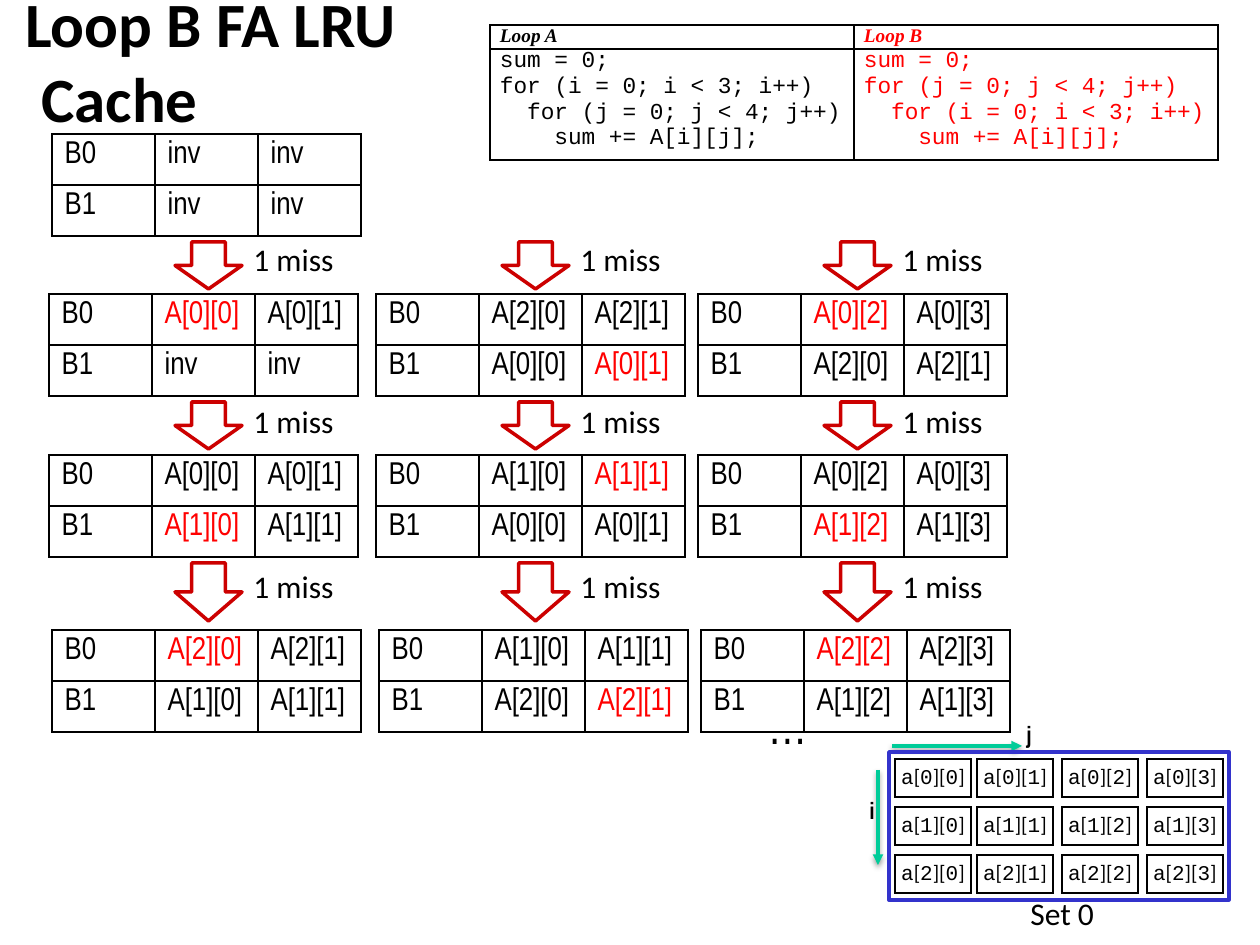
from lxml.etree import SubElement as Sub
from pptx import Presentation
from pptx.dml.color import RGBColor as RGB
from pptx.enum.shapes import MSO_CONNECTOR as Conn, MSO_SHAPE as Kind
from pptx.enum.text import MSO_ANCHOR as Anchor, PP_ALIGN as Align
from pptx.oxml.ns import qn
from pptx.util import Emu, Pt

BLACK, RED = "000000", "FF0000"
PLAIN_GRID = "{2D5ABB26-0587-4C30-8999-92F81FD0307C}"
LEFTS = [49, 376, 698]
# Top of each arrow, arrow height, label top, table top, table shift to the right
STEPS = [(242, 47, 234, 294, 0), (402, 47, 396, 455, 0), (563, 58, 561, 630, 3)]
# Cache contents after each miss; a star marks the entry just accessed
STATES = [
    ["*A[0][0] A[0][1] inv inv",
     "A[2][0] A[2][1] A[0][0] *A[0][1]",
     "*A[0][2] A[0][3] A[2][0] A[2][1]"],
    ["A[0][0] A[0][1] *A[1][0] A[1][1]",
     "A[1][0] *A[1][1] A[0][0] A[0][1]",
     "A[0][2] A[0][3] *A[1][2] A[1][3]"],
    ["*A[2][0] A[2][1] A[1][0] A[1][1]",
     "A[1][0] A[1][1] A[2][0] *A[2][1]",
     "*A[2][2] A[2][3] A[1][2] A[1][3]"],
]
LOOPS = [
    ("Loop A", BLACK, "sum = 0;\nfor (i = 0; i < 3; i++)\n"
     "  for (j = 0; j < 4; j++)\n    sum += A[i][j];"),
    ("Loop B", RED, "sum = 0;\nfor (j = 0; j < 4; j++)\n"
     "  for (i = 0; i < 3; i++)\n    sum += A[i][j];"),
]


def px(n):
    return Emu(round(n * 914400 / 126))


def paint(hue):
    return RGB.from_string(hue)


def style(run, size, face, hue=BLACK, bold=False, italic=False):
    font = run.font
    font.size, font.name = Pt(size), face
    font.bold, font.italic = bold, italic
    font.color.rgb = paint(hue)


def fill_text(frame, text, *look, align=None):
    frame.text = text
    for para in frame.paragraphs:
        para.alignment = align
        for run in para.runs:
            style(run, *look)


def label(slide, box, text, *look, wrap=False, margin=0, indent=0):
    frame = slide.shapes.add_textbox(*map(px, box)).text_frame
    frame.word_wrap = wrap
    fill_text(frame, text, *look)
    if margin:
        props = frame.paragraphs[0]._p.get_or_add_pPr()
        props.set("marL", str(px(margin)))
        props.set("indent", str(px(indent)))
    return frame


def outline(slide, kind, box, hue):
    shape = slide.shapes.add_shape(kind, *map(px, box))
    shape.shadow.inherit = False
    shape.fill.background()
    shape.line.color.rgb = paint(hue)
    shape.line.width = Pt(2)


def table(slide, left, top, cols, rows):
    box = map(px, (left, top, sum(cols), sum(rows)))
    grid = slide.shapes.add_table(len(rows), len(cols), *box).table
    grid._tbl.tblPr.find(qn("a:tableStyleId")).text = PLAIN_GRID
    grid.first_row = grid.horz_banding = False
    for col, wide in zip(grid.columns, cols):
        col.width = px(wide)
    for row, high in zip(grid.rows, rows):
        row.height = px(high)
    return grid


def edge(cell, sides="LRTB"):
    """Draw black borders on the given sides and clear the fill."""
    props = cell._tc.get_or_add_tcPr()
    for side in sides:
        line = Sub(props, qn("a:ln" + side), w=str(Pt(1)))
        solid = Sub(line, qn("a:solidFill"))
        Sub(solid, qn("a:srgbClr"), val=BLACK)
    cell.fill.background()


def inset(cell, side):
    cell.margin_left = cell.margin_right = px(side)
    cell.margin_top = cell.margin_bottom = 0


def cache(slide, left, top, state):
    items = state.split()
    grid = table(slide, left, top, [103] * 3, [51] * 2)
    for r in range(2):
        for c, item in enumerate([f"B{r}"] + items[2 * r:2 * r + 2]):
            cell = grid.cell(r, c)
            hue = RED if item.startswith("*") else BLACK
            fill_text(cell.text_frame, item.lstrip("*"), 18, "Arial Narrow", hue)
            edge(cell)


def loops(slide):
    grid = table(slide, 490, 25, [364] * 2, [24, 111])
    for c, (name, hue, code) in enumerate(LOOPS):
        head, body = grid.cell(0, c), grid.cell(1, c)
        fill_text(head.text_frame, name, 11, "Times New Roman", hue, True, True,
                  align=Align.JUSTIFY)
        fill_text(body.text_frame, code, 13, "Courier New", hue,
                  align=Align.JUSTIFY)
        for cell in (head, body):
            inset(cell, 10)
            edge(cell)


def array(slide):
    """Element boxes at even rows and columns, with narrow gaps between."""
    cols, rows = [76, 6, 76, 9, 76, 9, 76], [38, 10, 38, 10, 38]
    sides = {(0, 0): "LRTB", (0, 1): "LR", (1, 0): "TB", (1, 1): ""}
    grid = table(slide, 895, 759, cols, rows)
    for r in range(len(rows)):
        for c in range(len(cols)):
            cell = grid.cell(r, c)
            inset(cell, 0)
            edge(cell, sides[r % 2, c % 2])
            para = cell.text_frame.paragraphs[0]
            if r % 2 or c % 2:
                Sub(para._p, qn("a:endParaRPr"), sz="400")
                continue
            cell.vertical_anchor = Anchor.MIDDLE
            para.alignment = Align.CENTER
            for n, part in enumerate(["a", "[", str(r // 2), "][", str(c // 2), "]"]):
                run = para.add_run()
                run.text = part
                style(run, 12, "Calibri" if n % 2 else "Courier New")


def axis(slide, *ends):
    line = slide.shapes.add_connector(Conn.STRAIGHT, *map(px, ends))
    line.line.color.rgb = paint("00CC99")
    line.line.width = Pt(2)
    Sub(line.line._get_or_add_ln(), qn("a:tailEnd"), type="triangle")
    effects = Sub(line._element.spPr, qn("a:effectLst"))
    shade = Sub(effects, qn("a:outerShdw"), blurRad=str(Pt(3.1)),
                dist=str(Pt(1.6)), dir="5400000", rotWithShape="0")
    Sub(Sub(shade, qn("a:srgbClr"), val=BLACK), qn("a:alpha"), val="38000")


def main():
    deck = Presentation()
    deck.slide_width, deck.slide_height = px(1260), px(945)
    slide = deck.slides.add_slide(deck.slide_layouts[6])

    title = label(slide, (13, 9, 1158, 102), "Loop B FA LRU \vCache",
                  36, "Calibri", BLACK, True, wrap=True, margin=16, indent=-16)
    title.vertical_anchor = Anchor.MIDDLE
    loops(slide)

    cache(slide, 52, 134, "inv inv inv inv")
    for (top, high, text_top, grid_top, shift), states in zip(STEPS, STATES):
        for left, state in zip(LEFTS, states):
            outline(slide, Kind.DOWN_ARROW, (left + 126, top, 67, high), "CC0000")
            label(slide, (left + 192, text_top, 106, 50), "1 miss", 18, "Calibri")
            cache(slide, left + shift, grid_top, state)
    label(slide, (692, 689, 132, 72), "…", 28, "Arial Narrow",
          wrap=True, margin=63)

    array(slide)
    axis(slide, 878, 770, 878, 865)
    axis(slide, 892, 746, 1022, 746)
    outline(slide, Kind.RECTANGLE, (889, 752, 340, 148), "3333CC")
    label(slide, (857, 790, 32, 42), "i", 13.5, "Arial Narrow", BLACK, True)
    label(slide, (1014, 714, 32, 42), "j", 13.5, "Arial Narrow", BLACK, True)
    label(slide, (1018, 888, 90, 50), "Set 0", 18, "Calibri")
    deck.save("out.pptx")


if __name__ == "__main__":
    main()
